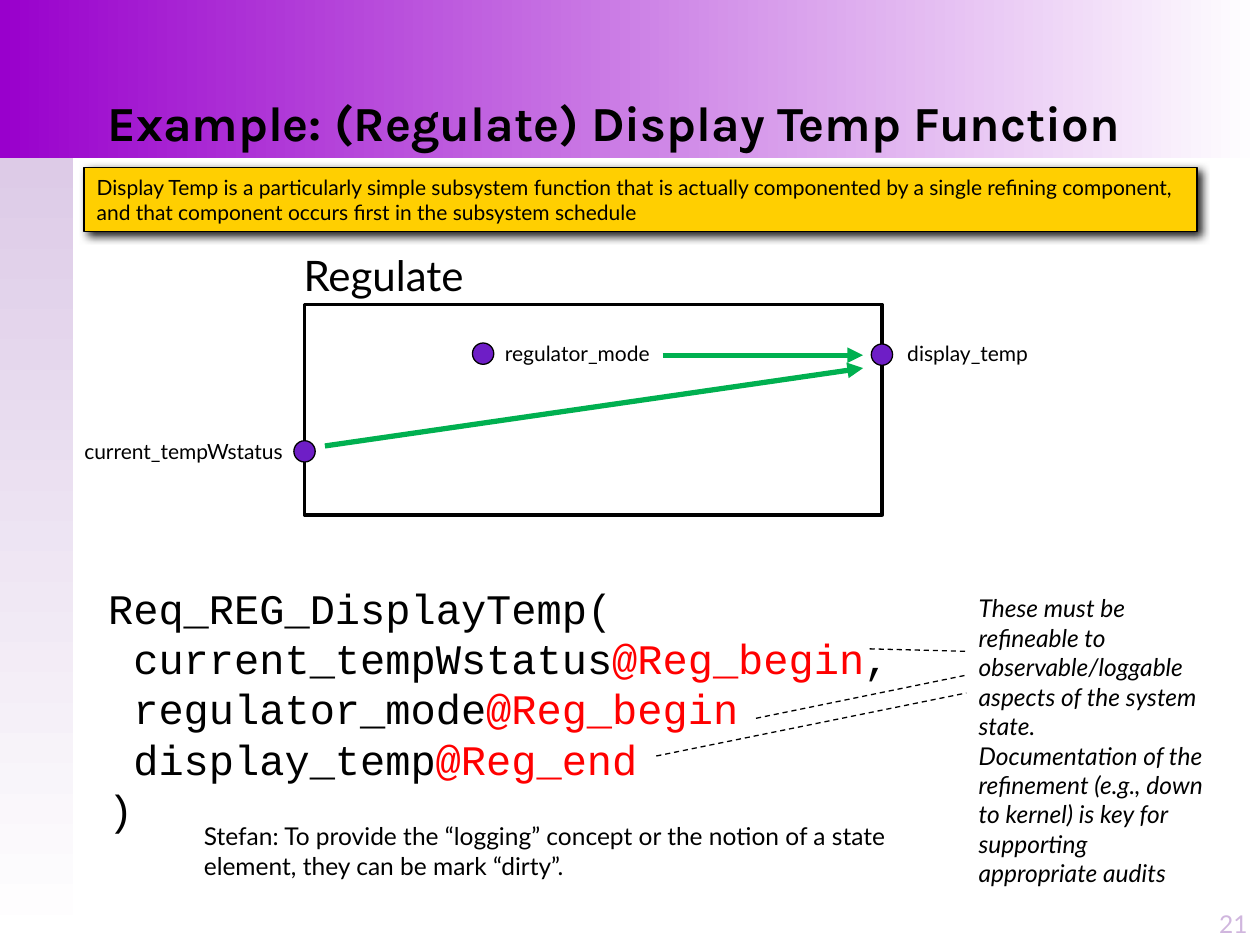
from pptx import Presentation
from pptx import util as u
from pptx.dml.color import RGBColor
from pptx.enum import dml, shapes, text
from pptx.oxml import parse_xml
from pptx.oxml.ns import nsdecls

Cm, Pt = u.Cm, u.Pt
INK = {"black": "000000", "white": "FFFFFF", "purple": "9900CC", "lilac": "DDCBE7",
       "mauve": "D0B6DE", "port": "6E1EC6", "gold": "FFCF01", "green": "00B050",
       "red": "FF0000", "shade": "1C1C1C"}
TONE = {name: RGBColor.from_string(code) for name, code in INK.items()}


def style(para, size, face="Lato", tone="black", **look):
    for run in para.runs:
        run.font.size, run.font.name = Pt(size), face
        run.font.color.rgb = TONE[tone]
        for key, value in look.items():
            setattr(run.font, key, value)


def write(words, place, size, wrap=True, **look):
    box = slide.shapes.add_textbox(*map(Cm, place))
    frame = box.text_frame
    frame.word_wrap = wrap
    frame.text = words
    for para in frame.paragraphs:
        style(para, size, **look)
    return frame


deck = Presentation()
deck.slide_width, deck.slide_height = Cm(25.4), Cm(19.05)
slide = deck.slides.add_slide(deck.slide_layouts[5])
tree = slide.shapes

bands = [((0, 3.18, 1.47, 15.87), "lilac", 270), ((0, 0, 25.4, 3.18), "purple", 0)]
for layer, (place, tone, angle) in enumerate(bands):
    band = tree.add_shape(shapes.MSO_SHAPE.RECTANGLE, *map(Cm, place))
    band.shadow.inherit = False
    band.line.fill.background()
    band.fill.gradient()
    band.fill.gradient_angle = angle
    for stop, hue in zip(band.fill.gradient_stops, (tone, "white")):
        stop.color.rgb = TONE[hue]
    tree._spTree.insert(2 + layer, band._element)

title = tree.title
title.left, title.top, title.width, title.height = map(Cm, (1.91, 0, 22.66, 3.18))
title.text_frame.text = "Example: (Regulate) Display Temp Function"
title.text_frame.vertical_anchor = text.MSO_ANCHOR.BOTTOM
para = title.text_frame.paragraphs[0]
para.alignment = text.PP_ALIGN.LEFT
style(para, 28, "Karla", bold=True)

page = write("21", (24.13, 17.78, 1.27, 1.27), 14, tone="mauve")
page.vertical_anchor = text.MSO_ANCHOR.BOTTOM
page.paragraphs[0].alignment = text.PP_ALIGN.RIGHT

left, top, wide, high = 6.14, 6.14, 11.64, 4.24
frame = tree.add_shape(shapes.MSO_SHAPE.RECTANGLE, *map(Cm, (left, top, wide, high)))
frame.shadow.inherit = False
frame.fill.background()
frame.line.color.rgb = TONE["black"]
frame.line.width = Pt(2.25)

size = 0.43
for x, y in [(left + wide, 7.15), (left, 9.1), (9.74, 7.13)]:
    port = tree.add_shape(shapes.MSO_SHAPE.OVAL, Cm(x - size / 2), Cm(y - size / 2),
                          Cm(size), Cm(size))
    port.shadow.inherit = False
    port.fill.solid()
    port.fill.fore_color.rgb = TONE["port"]
    port.line.color.rgb = TONE["black"]
    port.line.width = Pt(0.75)

note = tree.add_shape(shapes.MSO_SHAPE.RECTANGLE, *map(Cm, (1.7, 3.38, 22.43, 1.29)))
note.fill.solid()
note.fill.fore_color.rgb = TONE["gold"]
note.line.color.rgb = TONE["black"]
note.line.width = Pt(1)
note._element.spPr.append(parse_xml(
    f'<a:effectLst {nsdecls("a")}><a:outerShdw blurRad="{Pt(5)}" dist="{Pt(2.8)}" '
    f'dir="2700000" algn="tl" rotWithShape="0"><a:srgbClr val="{INK["shade"]}"/>'
    '</a:outerShdw></a:effectLst>'))
note.text_frame.word_wrap = True
note.text_frame.vertical_anchor = text.MSO_ANCHOR.MIDDLE
note.text_frame.text = (
    "Display Temp is a particularly simple subsystem function that is actually componented "
    "by a single refining component, and that component occurs first in the subsystem schedule")
para = note.text_frame.paragraphs[0]
para.alignment = text.PP_ALIGN.LEFT
style(para, 12)

labels = [("Regulate", (5.87, 4.9, 3.81, 1.27), 24),
          ("regulator_mode", (9.93, 6.75, 3.5, 0.76), 12),
          ("current_tempWstatus", (1.45, 8.71, 4.6, 0.76), 12),
          ("display_temp", (18.04, 6.75, 3, 0.76), 12)]
for words, place, points in labels:
    write(words, place, points, wrap=False)

flow = [(6.55, 8.99, 17.4, 7.42), (13.36, 7.16, 17.4, 7.16)]
hints = [(17.53, 13.08, 19.48, 13.13), (15.24, 14.48, 19.48, 13.61),
         (13.23, 15.24, 19.48, 13.97)]
for ends in flow + hints:
    link = tree.add_connector(shapes.MSO_CONNECTOR.STRAIGHT, *map(Cm, ends))
    arrow = ends in flow
    link.line.color.rgb = TONE["green" if arrow else "black"]
    link.line.width = Pt(3 if arrow else 0.75)
    if arrow:
        link.line._get_or_add_ln().append(
            parse_xml(f'<a:tailEnd {nsdecls("a")} type="triangle"/>'))
    else:
        link.line.dash_style = dml.MSO_LINE.DASH
    link._element.spPr.append(parse_xml(f'<a:effectLst {nsdecls("a")}/>'))

code = [("Req_REG_DisplayTemp(", "", ""),
        (" current_tempWstatus", "@Reg_begin", ","),
        (" regulator_mode", "@Reg_begin", ""),
        (" display_temp", "@Reg_end", ""),
        (")", "", "")]
body = write("\n".join(row[0] for row in code), (1.93, 11.61, 17.98, 5.38), 24,
             face="Courier New")
for para, (_, moment, end) in zip(body.paragraphs, code):
    for part in filter(None, (moment, end)):
        para.add_run().text = part
    style(para, 24, "Courier New")
    if moment:
        para.runs[1].font.color.rgb = TONE["red"]

write("These must be refineable to observable/loggable aspects of the system state.  "
      "Documentation of the refinement (e.g., down to kernel) is key for supporting "
      "appropriate audits", (19.48, 11.84, 5.08, 6.25), 14, italic=True)
write("Stefan: To provide the “logging” concept or the notion of a state element, "
      "they can be mark “dirty”.", (3.86, 16.43, 14.86, 1.45), 14)

deck.save("out.pptx")
